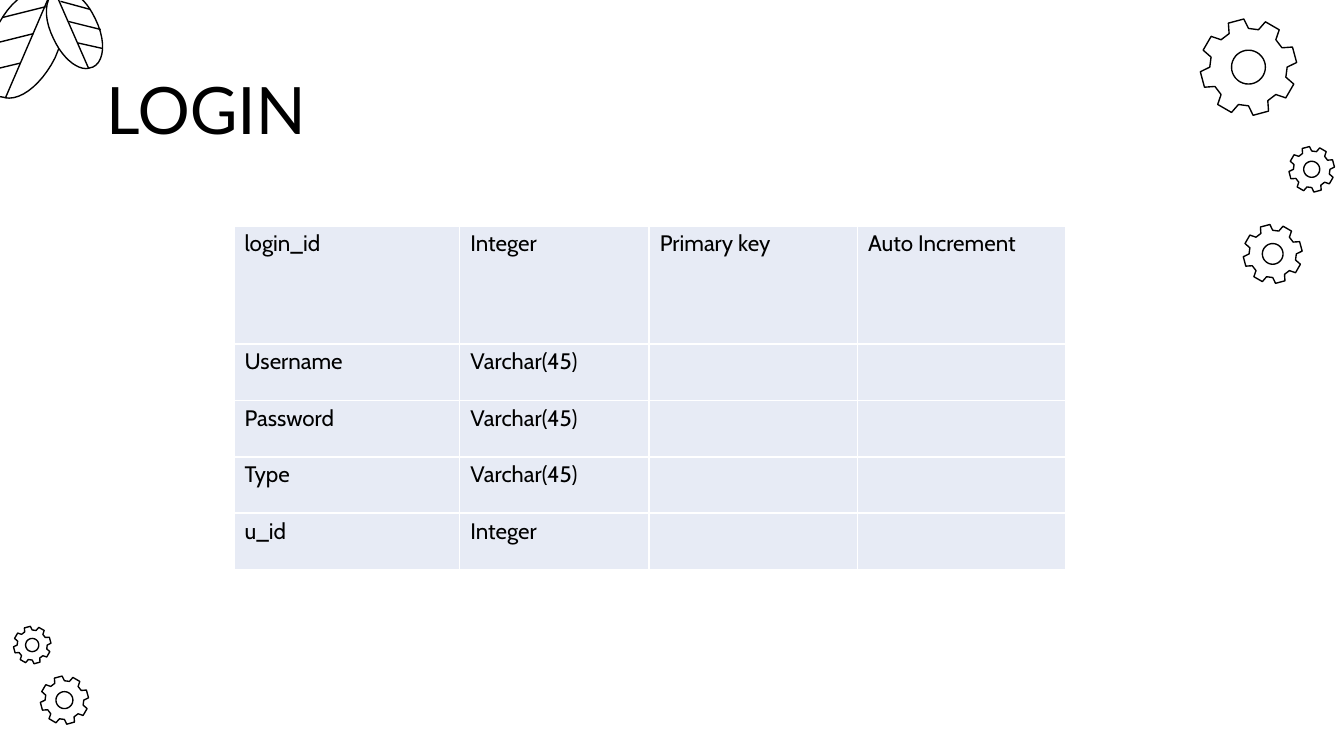
import math
from dataclasses import dataclass

import pptx
import pptx.dml.color
import pptx.enum.shapes
import pptx.enum.text
import pptx.oxml
import pptx.oxml.ns
import pptx.util
from pptx.util import Inches


@dataclass(frozen=True)
class Theme:
    ink = pptx.dml.color.RGBColor.from_string("000000")
    paper = pptx.dml.color.RGBColor.from_string("FFFFFF")
    cell = pptx.dml.color.RGBColor.from_string("E7EBF5")
    title_size = pptx.util.Pt(35)
    cell_size = pptx.util.Pt(12)
    outline = pptx.util.Pt(0.75)
    border = pptx.util.Pt(1)
    title_font = "Lato"
    cell_font = "Cabin"


theme = Theme()
namespace = pptx.oxml.ns.nsdecls("a")
deck = pptx.Presentation()
deck.slide_width = Inches(10)
deck.slide_height = Inches(10 * 9 / 16)
slide = deck.slides.add_slide(deck.slide_layouts[6])


def draw_outline(contours):
    contours = [[(Inches(x), Inches(y)) for x, y in contour] for contour in contours]
    builder = slide.shapes.build_freeform(*contours[0][0])
    builder.add_line_segments(contours[0][1:], close=True)
    for contour in contours[1:]:
        builder.move_to(*contour[0])
        builder.add_line_segments(contour[1:], close=True)
    outline = builder.convert_to_shape()
    outline.shadow.inherit = False
    outline.line.color.rgb = theme.ink
    outline.line.width = theme.outline
    return outline


def polar(center, radius, degrees):
    angle = math.radians(degrees)
    return center[0] + radius * math.cos(angle), center[1] + radius * math.sin(angle)


gears = [
    ((9.47, 1.89), 0.22),
    ((9.76, 1.26), 0.17),
    ((9.29, 0.5), 0.36),
    ((0.48, 5.21), 0.18),
    ((0.24, 4.8), 0.14),
]
tooth_profile = [(-15, 0.8), (-9.5, 1), (9.5, 1), (15, 0.8)]
for center, radius in gears:
    teeth = [
        polar(center, radius * reach, 30 + 45 * tooth + offset)
        for tooth in range(8)
        for offset, reach in tooth_profile
    ]
    hub = [polar(center, radius * 0.35, degrees) for degrees in range(0, 360, 10)]
    draw_outline([teeth, hub]).fill.background()

leaves = [
    (
        [(0.07, 0.73), (0.04, 0.73), (0.02, 0.72), (0, 0.72),
         (-0.12, 0.66), (-0.13, 0.44), (-0.03, 0.22),
         (0.05, 0.04), (0.19, -0.08), (0.31, -0.08),
         (0.33, -0.08), (0.35, -0.07), (0.37, -0.06),
         (0.49, 0), (0.51, 0.21), (0.41, 0.43),
         (0.32, 0.61), (0.18, 0.73), (0.07, 0.73)],
        [(0.34, 0.05, 0.02, 0.13), (0.25, 0.25, -0.07, 0.33),
         (0.15, 0.47, -0.1, 0.53), (0.04, 0.73, 0.38, -0.06)],
    ),
    (
        [(0.64, 0.51), (0.66, 0.51), (0.68, 0.5), (0.69, 0.5),
         (0.78, 0.46), (0.79, 0.3), (0.71, 0.14),
         (0.65, 0.01), (0.55, -0.08), (0.47, -0.08),
         (0.45, -0.08), (0.44, -0.07), (0.42, -0.07),
         (0.33, -0.02), (0.32, 0.13), (0.4, 0.29),
         (0.46, 0.42), (0.56, 0.51), (0.64, 0.51)],
        [(0.45, 0.01, 0.67, 0.07), (0.51, 0.16, 0.75, 0.22),
         (0.58, 0.32, 0.76, 0.36), (0.66, 0.51, 0.41, -0.06)],
    ),
]
for curve, veins in leaves:
    rim = []
    for start in range(0, len(curve) - 1, 3):
        for step in range(10):
            t = step / 10
            weights = [math.comb(3, i) * t**i * (1 - t) ** (3 - i) for i in range(4)]
            rim.append([
                sum(weight * point[axis] for weight, point in zip(weights, curve[start:start + 4]))
                for axis in (0, 1)
            ])
    leaf = draw_outline([rim])
    leaf.fill.solid()
    leaf.fill.fore_color.rgb = theme.paper
    for ends in veins:
        vein = slide.shapes.add_connector(
            pptx.enum.shapes.MSO_CONNECTOR.STRAIGHT, *[Inches(end) for end in ends]
        )
        vein.line.color.rgb = theme.ink
        vein.line.width = theme.outline
        vein._element.spPr.append(pptx.oxml.parse_xml(f"<a:effectLst {namespace}/>"))

title = slide.shapes.add_textbox(Inches(0.79), Inches(0.49), Inches(8.43), Inches(0.63))
title_frame = title.text_frame
title_frame.word_wrap = True
title_frame.margin_left = title_frame.margin_right = 0
title_frame.margin_top = title_frame.margin_bottom = 0
title_frame.vertical_anchor = pptx.enum.text.MSO_ANCHOR.MIDDLE
title_frame.text = "LOGIN"
title_font = title_frame.paragraphs[0].runs[0].font
title_font.name = theme.title_font
title_font.size = theme.title_size
title_font.color.rgb = theme.ink

fields = [
    ("login_id", "Integer", "Primary key", "Auto Increment"),
    ("Username", "Varchar(45)", "", ""),
    ("Password", "Varchar(45)", "", ""),
    ("Type", "Varchar(45)", "", ""),
    ("u_id", "Integer", "", ""),
]
column_widths = [1.68, 1.41, 1.55, 1.55]
row_heights = [0.88] + [0.42] * 4
login_table = slide.shapes.add_table(
    len(fields), len(column_widths), Inches(1.74), Inches(1.68),
    Inches(sum(column_widths)), Inches(sum(row_heights)),
).table
for column, width in zip(login_table.columns, column_widths):
    column.width = Inches(width)
for row, height, field in zip(login_table.rows, row_heights, fields):
    row.height = Inches(height)
    for index, (cell, entry) in enumerate(zip(row.cells, field)):
        properties = cell._tc.get_or_add_tcPr()
        for side in "LRTB":
            properties.append(pptx.oxml.parse_xml(
                f'<a:ln{side} {namespace} w="{theme.border}"><a:solidFill>'
                f'<a:srgbClr val="{theme.paper}"/></a:solidFill></a:ln{side}>'
            ))
        cell.fill.solid()
        cell.fill.fore_color.rgb = theme.cell
        cell.margin_left = cell.margin_right = Inches(0.08)
        cell.margin_top = cell.margin_bottom = 0
        if not entry:
            continue
        cell.text_frame.text = entry
        paragraph = cell.text_frame.paragraphs[0]
        paragraph._p.get_or_add_pPr().append(pptx.oxml.parse_xml(
            f'<a:tabLst {namespace}><a:tab pos="{Inches(5.27)}" algn="l"/></a:tabLst>'
        ))
        paragraph.line_spacing = 1.15
        if index < 3:
            paragraph.alignment = pptx.enum.text.PP_ALIGN.JUSTIFY
        entry_font = paragraph.runs[0].font
        entry_font.name = theme.cell_font
        entry_font.size = theme.cell_size
        entry_font.bold = False
        entry_font.color.rgb = theme.ink

deck.save("out.pptx")
